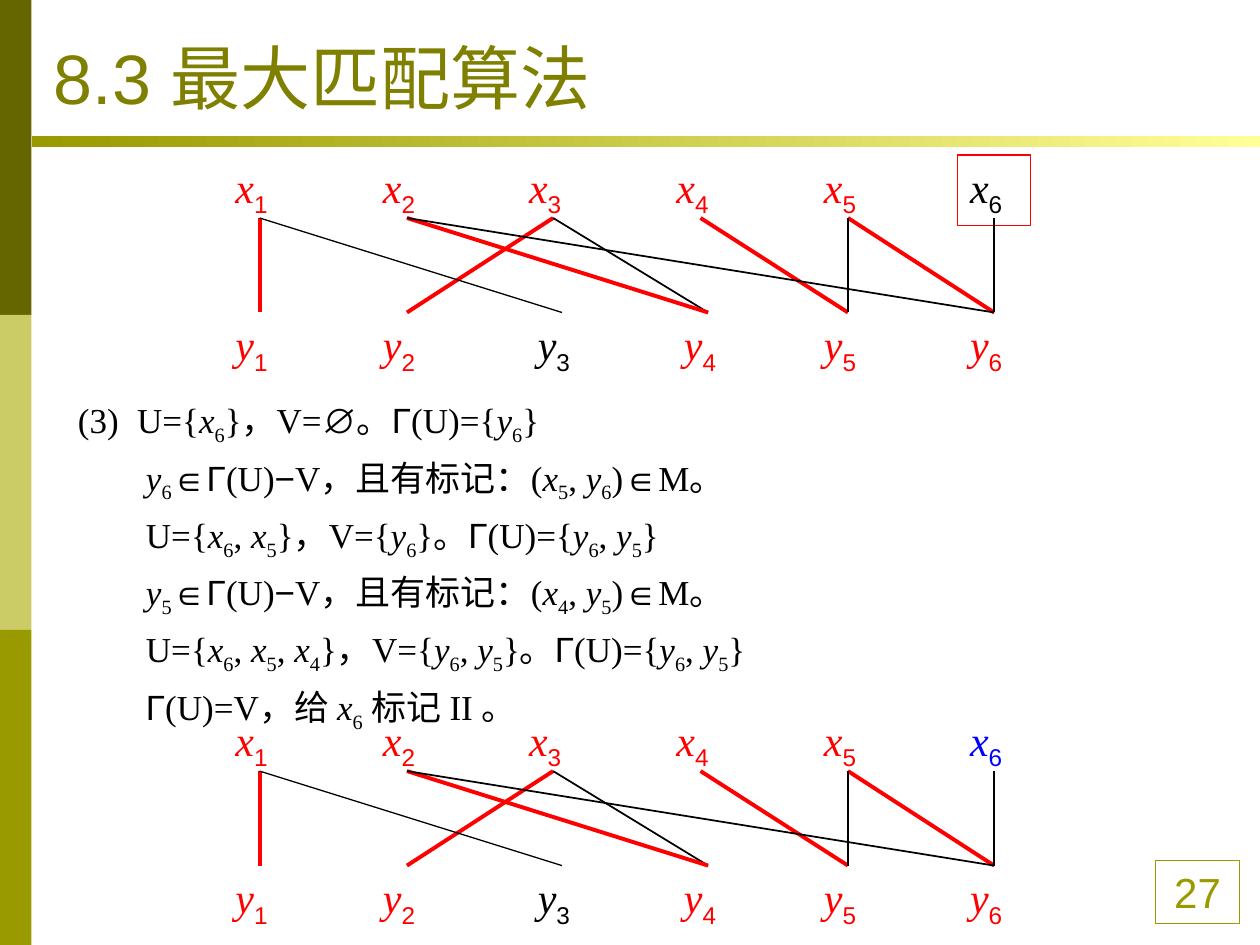
import itertools

import pptx
import pptx.util
import pptx.dml.color
import pptx.enum.shapes
import pptx.enum.text
from lxml import etree
from pptx.util import Inches, Pt

COLORS = {
    "dark": "666600", "pale": "CCCC66", "olive": "999900", "light": "FFFF99",
    "title": "808000", "red": "FF0000", "black": "000000", "blue": "0000FF",
}
RGB = {name: pptx.dml.color.RGBColor.from_string(value) for name, value in COLORS.items()}


def add_math(para, text, digit_font="Times New Roman"):
    styles = []
    for before, char in zip(" " + text, text):
        if char in "xy":
            styles.append(("Times New Roman", True, False))
        elif char.isdigit() and before in "xy":
            styles.append((digit_font, False, True))
        else:
            styles.append(("Arial" if char in "∅Γ∈−" else "Times New Roman", False, False))
    for style, pairs in itertools.groupby(zip(styles, text), key=lambda pair: pair[0]):
        font_name, italic, subscript = style
        span = para.add_run()
        span.text = "".join(char for _, char in pairs)
        span.font.name = font_name
        span.font.italic = italic
        if subscript:
            span._r.get_or_add_rPr().set("baseline", "-25000")


def add_box(shapes, left, top, width, height, size, color):
    box = shapes.add_textbox(Inches(left), Inches(top), Inches(width), Inches(height))
    box.text_frame.word_wrap = True
    para = box.text_frame.paragraphs[0]
    para.font.size = Pt(size)
    para.font.color.rgb = RGB[color]
    return box, para


deck = pptx.Presentation()
deck.slide_width, deck.slide_height = Inches(10), Inches(7.5)
page = deck.slides.add_slide(deck.slide_layouts[6])

bars = [
    (0, 0, 0.25, 2.5, "dark"),
    (0, 2.5, 0.25, 2.5, "pale"),
    (0, 5, 0.25, 2.5, "olive"),
    (0.25, 1.08, 9.75, 0.09, None),
]
for left, top, width, height, color in bars:
    bar = page.shapes.add_shape(
        pptx.enum.shapes.MSO_SHAPE.RECTANGLE,
        Inches(left), Inches(top), Inches(width), Inches(height))
    bar.shadow.inherit = False
    bar.line.fill.background()
    if color:
        bar.fill.solid()
        bar.fill.fore_color.rgb = RGB[color]
    else:
        bar.fill.gradient()
        bar.fill.gradient_angle = 0
        for stop, shade in zip(bar.fill.gradient_stops, ("olive", "light")):
            stop.color.rgb = RGB[shade]

number_box, para = add_box(page.shapes, 9.17, 6.83, 0.67, 0.5, 24, "olive")
number_box.line.color.rgb = RGB["olive"]
number_box.line.width = Pt(0.75)
para.text = "27"
para.font.name = "Arial"
para.alignment = pptx.enum.text.PP_ALIGN.CENTER

title_box, para = add_box(page.shapes, 0.33, 0.13, 9, 0.86, 40, "title")
title_box.text_frame.vertical_anchor = pptx.enum.text.MSO_ANCHOR.BOTTOM
para.text = "8.3 最大匹配算法"
para.font.name = "Arial"

steps = [
    "(3)\tU={x6}，V=∅。Γ(U)={y6}",
    "y6∈Γ(U)−V，且有标记：(x5, y6)∈M。",
    "U={x6, x5}，V={y6}。Γ(U)={y6, y5}",
    "y5∈Γ(U)−V，且有标记：(x4, y5)∈M。",
    "U={x6, x5, x4}，V={y6, y5}。Γ(U)={y6, y5}",
    "Γ(U)=V，给 x6 标记 II 。",
]
steps_box, para = add_box(page.shapes, 0.39, 3.04, 9.43, 2.84, 20, "black")
for index, step in enumerate(steps):
    if index:
        para = steps_box.text_frame.add_paragraph()
    margin, indent = (0.67, 0) if index else (0.6, -0.47)
    properties = para._p.get_or_add_pPr()
    properties.set("marL", str(Inches(margin)))
    properties.set("indent", str(Inches(indent)))
    para.line_spacing = 1.2
    para.font.size = Pt(20)
    para.font.color.rgb = RGB["black"]
    add_math(para, step)

x_lefts = [1.77, 2.94, 4.1, 5.27, 6.44, 7.6]
y_lefts = [1.77, 2.94, 4.17, 5.33, 6.44, 7.6]
edges = [
    (3, 2, "red", 2.25), (5, 6, "red", 2.25), (1, 1, "red", 2.25),
    (1, 3, "black", 0.75), (3, 4, "black", 1), (2, 4, "red", 2.25),
    (4, 5, "red", 2.25), (5, 5, "black", 0.75), (2, 6, "black", 1),
    (6, 6, "black", 0.75),
]
for graph_top, last_color, framed in [(1.23, "black", True), (5.62, "blue", False)]:
    graph = page.shapes.add_group_shape()
    nodes = {}
    for letter, lefts, top in [("x", x_lefts, graph_top), ("y", y_lefts, graph_top + 1.25)]:
        for number, left in enumerate(lefts, 1):
            name = f"{letter}{number}"
            color = {"x6": last_color, "y3": "black"}.get(name, "red")
            nodes[name], para = add_box(graph.shapes, left, top, 0.58, 0.56, 24, color)
            add_math(para, name, "Arial")
    if framed:
        nodes["x6"].line.color.rgb = RGB["red"]
        nodes["x6"].line.width = Pt(0.75)
    for start, end, color, width in edges:
        source, target = nodes[f"x{start}"], nodes[f"y{end}"]
        edge = graph.shapes.add_connector(
            pptx.enum.shapes.MSO_CONNECTOR.STRAIGHT,
            source.left + source.width // 2, Inches(graph_top + 0.5),
            target.left + target.width // 2, target.top)
        edge.end_connect(target, 0)
        edge.line.color.rgb = RGB[color]
        edge.line.width = Pt(width)
        etree.SubElement(edge._element.spPr, pptx.oxml.ns.qn("a:effectLst"))

deck.save("out.pptx")
